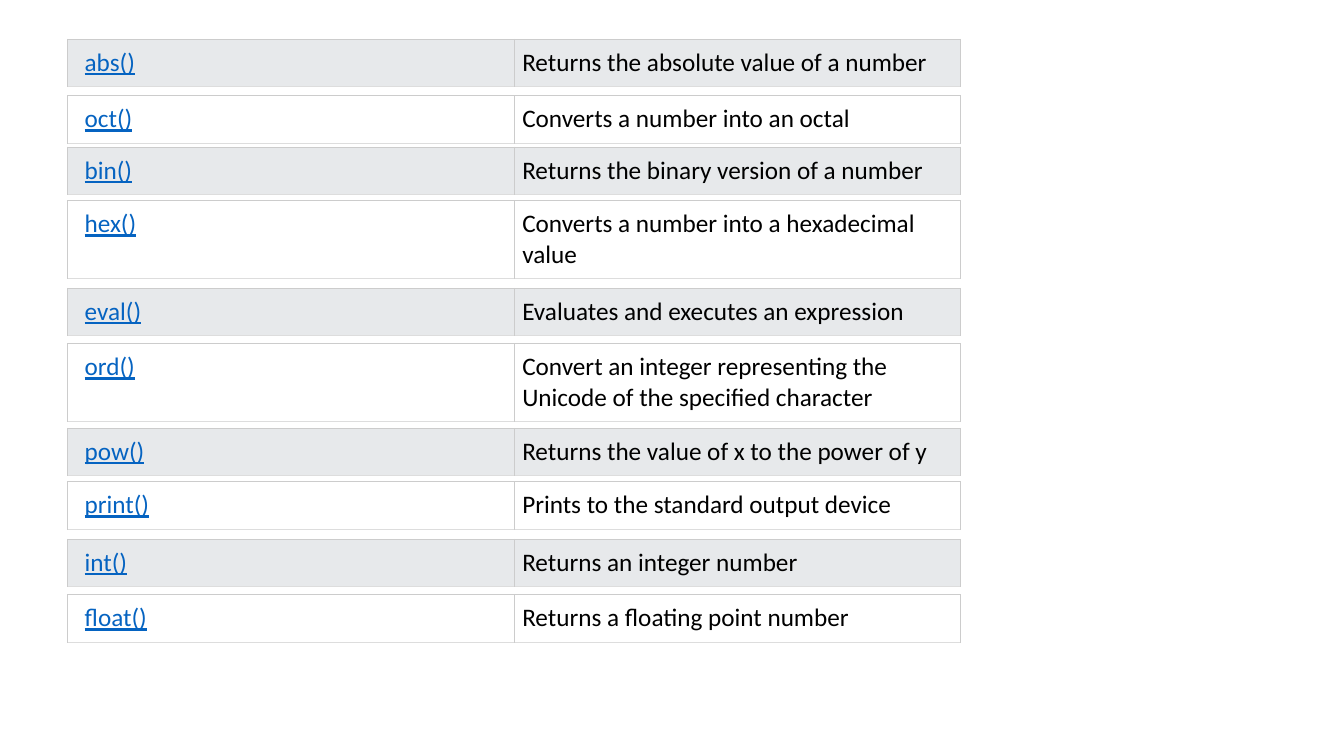
from lxml.etree import SubElement
from pptx import Presentation
from pptx.dml.color import RGBColor
from pptx.oxml.ns import qn
from pptx.util import Inches, Pt

COLORS = {
    "link": "0563C1",
    "text": "000000",
    "shaded": "E7E9EB",
    "plain": "FFFFFF",
    "edge": "CCCCCC",
    "bottom_edge": "DDDDDD",
}
LEFT, COLUMN_WIDTH = 0.67, 4.43
ONE_LINE, TWO_LINES = 0.47, 0.77

# Top, height, function name, description
FUNCTIONS = [
    (0.39, ONE_LINE, "abs()", "Returns the absolute value of a number"),
    (0.95, ONE_LINE, "oct()", "Converts a number into an octal"),
    (1.46, ONE_LINE, "bin()", "Returns the binary version of a number"),
    (1.99, TWO_LINES, "hex()", "Converts a number into a hexadecimal value"),
    (2.86, ONE_LINE, "eval()", "Evaluates and executes an expression"),
    (3.41, TWO_LINES, "ord()",
     "Convert an integer representing the Unicode of the specified character"),
    (4.25, ONE_LINE, "pow()", "Returns the value of x to the power of y"),
    (4.78, ONE_LINE, "print()", "Prints to the standard output device"),
    (5.35, ONE_LINE, "int()", "Returns an integer number"),
    (5.9, ONE_LINE, "float()", "Returns a floating point number"),
]


def add_borders(cell):
    properties = cell._tc.get_or_add_tcPr()
    for side in ("lnL", "lnR", "lnT", "lnB"):
        line = SubElement(properties, qn(f"a:{side}"), w=str(Pt(0.75)))
        fill = SubElement(line, qn("a:solidFill"))
        color = COLORS["bottom_edge" if side == "lnB" else "edge"]
        SubElement(fill, qn("a:srgbClr"), val=color)


def format_cell(cell, text, fill, color, left_margin, underline):
    # Borders come before the fill in the cell properties
    add_borders(cell)
    cell.fill.solid()
    cell.fill.fore_color.rgb = RGBColor.from_string(COLORS[fill])
    cell.margin_left = Inches(left_margin)
    cell.margin_top = cell.margin_right = cell.margin_bottom = Inches(0.08)
    cell.text_frame.text = text
    font = cell.text_frame.paragraphs[0].runs[0].font
    font.name = "Calibri"
    font.size = Pt(18)
    font.underline = underline
    font.color.rgb = RGBColor.from_string(COLORS[color])


def add_function_table(slide, top, height, name, description, fill):
    table = slide.shapes.add_table(
        1, 2, Inches(LEFT), Inches(top), Inches(2 * COLUMN_WIDTH), Inches(height)
    ).table
    table.first_row = False
    table.horz_banding = False
    format_cell(table.cell(0, 0), name, fill, "link", 0.17, True)
    format_cell(table.cell(0, 1), description, fill, "text", 0.08, False)


def main():
    deck = Presentation()
    deck.slide_width, deck.slide_height = Inches(13.33), Inches(7.5)
    slide = deck.slides.add_slide(deck.slide_layouts[6])

    # One table per function, with alternating shading
    for index, (top, height, name, description) in enumerate(FUNCTIONS):
        fill = "plain" if index % 2 else "shaded"
        add_function_table(slide, top, height, name, description, fill)

    deck.save("out.pptx")


if __name__ == "__main__":
    main()
